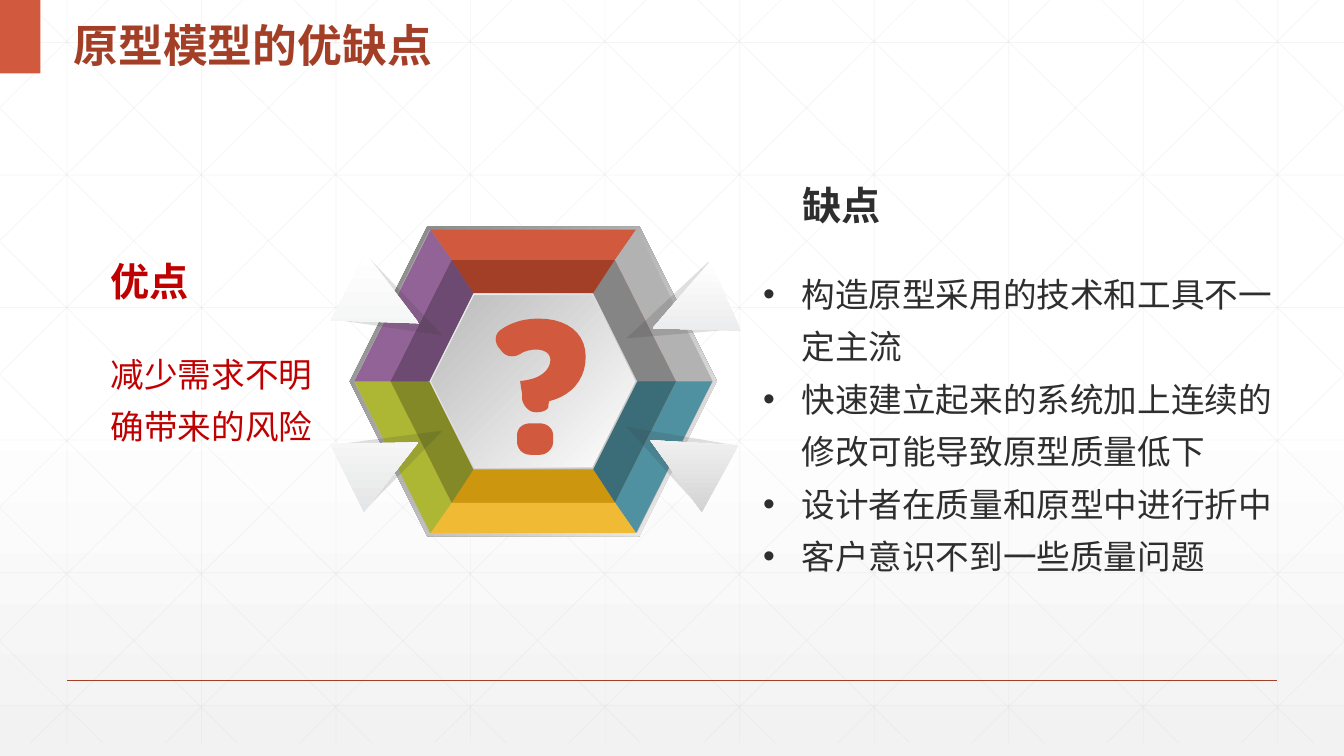
from dataclasses import dataclass
from typing import Optional

from lxml.etree import SubElement
from pptx import Presentation
from pptx.dml.color import RGBColor
from pptx.dml.fill import FillFormat
from pptx.enum.shapes import MSO_CONNECTOR, MSO_SHAPE
from pptx.enum.text import MSO_ANCHOR, MSO_AUTO_SIZE, PP_ALIGN
from pptx.oxml.ns import qn
from pptx.shapes.autoshape import Shape
from pptx.slide import Slide
from pptx.text.text import TextFrame
from pptx.util import Cm, Pt

Point = tuple[float, float]

COLORS = {
    "white": "FFFFFF", "paper": "F2F2F2", "grid": "D9D9D9",
    "orange": "D15A3E", "rust": "A43F27", "silver": "B2B2B2", "gray": "858585",
    "teal": "4F91A1", "deep_teal": "3B6D79", "yellow": "F0BA34", "ochre": "CC960F",
    "lime": "AEB733", "olive": "828926", "violet": "926397", "plum": "6D4A71",
    "rim": "808080", "bevel": "BFBFBF", "core": "BABABA", "shade": "373937",
    "red": "C00000", "text": "2D2E2D",
}
LATIN, CHINESE = "Arial", "Noto Sans CJK SC"
WIDTH, HEIGHT = 33.87, 19.05
GRID_BOTTOM, GRID_STEP, ROW_STEP = 18.72, 3.39, 3.34
CENTER_X, CENTER_Y = 13.44, 9.61


@dataclass
class Hexagon:
    width: float
    height: float
    colors: tuple[str, ...]
    angle: int = 0


@dataclass
class Ring:
    half_width: float
    half_top: float
    half_height: float

    def corners(self) -> list[Point]:
        """Corners clockwise from the top left."""
        w, t, h = self.half_width, self.half_top, self.half_height
        offsets = [(-t, -h), (t, -h), (w, 0), (t, h), (-t, h), (-w, 0)]
        return [(CENTER_X + x, CENTER_Y + y) for x, y in offsets]


@dataclass
class Flap:
    rotation: float
    shadow: Point
    paper: Point
    end_color: str


@dataclass
class TextStyle:
    size: int
    color: str
    font: str = LATIN
    bold: bool = False
    line_spacing: Optional[float] = None
    bullet: bool = False


HEXAGONS = [
    Hexagon(9.25, 7.8, ("rim", "paper"), 45),
    Hexagon(9.04, 7.62, ("silver",)),
    Hexagon(7.24, 6.1, ("orange",)),
    Hexagon(5.28, 4.45, ("bevel", "paper"), 225),
    Hexagon(5.13, 4.32, ("white", "core"), 225),
]
INNER, MIDDLE, OUTER = Ring(2.62, 1.51, 2.22), Ring(3.6, 2.06, 3.06), Ring(4.51, 2.59, 3.82)
INNER_COLORS = ["rust", "gray", "deep_teal", "ochre", "olive", "plum"]
OUTER_COLORS = ["orange", "silver", "teal", "yellow", "lime", "violet"]
FLAPS = [
    Flap(298.8, (16.03, 10.06), (16.31, 10.57), "D3D3D4"),
    Flap(246.1, (16.08, 6.65), (16.41, 6.86), "E2E3E4"),
    Flap(63.5, (9.04, 10.11), (8.69, 10.59), "E4E5E6"),
    Flap(117.4, (9.04, 6.5), (8.71, 6.68), "F0F1F1"),
]
# Two numbers are a line to a point, six are a cubic curve.
QUESTION_DOT = [
    (13.36, 10.67), (13.61, 10.67), (13.79, 10.67, 13.94, 10.8, 13.94, 10.97),
    (13.94, 11.13), (13.94, 11.3, 13.79, 11.46, 13.61, 11.46),
    (13.36, 11.46), (13.16, 11.46, 13.03, 11.3, 13.03, 11.13),
    (13.03, 10.97), (13.03, 10.8, 13.16, 10.67, 13.36, 10.67),
]
QUESTION_HOOK = [
    (13.59, 8.03), (14.27, 8.03, 14.76, 8.38, 14.76, 8.99),
    (14.76, 9.58, 14.38, 9.98, 13.84, 10.11), (13.84, 10.11, 13.82, 10.16, 13.82, 10.26),
    (13.79, 10.34, 13.67, 10.39, 13.51, 10.39), (13.34, 10.39, 13.21, 10.26, 13.16, 10.08),
    (13.16, 9.93), (13.13, 9.78, 13.11, 9.63, 13.11, 9.6), (13.13, 9.6),
    (13.69, 9.55, 13.87, 9.27, 13.87, 9.07), (13.87, 8.92, 13.74, 8.81, 13.51, 8.81),
    (13.39, 8.81, 13.23, 8.84, 13.11, 8.92), (12.95, 9.02, 12.75, 8.99, 12.65, 8.86),
    (12.57, 8.76), (12.45, 8.61, 12.47, 8.41, 12.62, 8.31),
    (12.88, 8.13, 13.18, 8.03, 13.59, 8.03),
]
DRAWBACKS = [
    "构造原型采用的技术和工具不一定主流",
    "快速建立起来的系统加上连续的修改可能导致原型质量低下",
    "设计者在质量和原型中进行折中",
    "客户意识不到一些质量问题",
]


def rgb(color: str) -> RGBColor:
    return RGBColor.from_string(COLORS.get(color, color))


def set_gradient(fill: FillFormat, colors: tuple[str, ...], angle: int, start: float = 0) -> None:
    """The angle runs clockwise, in degrees."""
    fill.gradient()
    fill.gradient_angle = 360 - angle
    for stop, color, position in zip(fill.gradient_stops, colors, (start, 1)):
        stop.color.rgb, stop.position = rgb(color), position


def set_alpha(element, percent: int) -> None:
    color = next(element.iter(qn("a:srgbClr")))
    SubElement(color, qn("a:alpha")).set("val", str(percent * 1000))


def finish_shape(shape: Shape, colors: tuple[str, ...], angle: int = 0) -> Shape:
    shape.shadow.inherit = False
    shape.line.fill.background()
    if len(colors) > 1:
        set_gradient(shape.fill, colors, angle)
    else:
        shape.fill.solid()
        shape.fill.fore_color.rgb = rgb(colors[0])
    return shape


def add_preset(slide: Slide, kind: MSO_SHAPE, corner: Point, size: Point,
               colors: tuple[str, ...], angle: int = 0) -> Shape:
    shape = slide.shapes.add_shape(kind, *(Cm(value) for value in (*corner, *size)))
    return finish_shape(shape, colors, angle)


def add_outline(slide: Slide, contours: list[list[Point]], color: str) -> None:
    contours_cm = [[(Cm(x), Cm(y)) for x, y in contour] for contour in contours]
    builder = slide.shapes.build_freeform(*contours_cm[0][0])
    for index, (first, *rest) in enumerate(contours_cm):
        if index:
            builder.move_to(*first)
        builder.add_line_segments(rest, close=True)
    finish_shape(builder.convert_to_shape(), (color,))


def flatten(steps: list[tuple[float, ...]]) -> list[Point]:
    """Turn lines and cubic curves into a run of points."""
    points: list[Point] = []
    for step in steps:
        if len(step) == 2:
            points.append(step)
            continue
        controls = [points[-1], step[:2], step[2:4], step[4:]]
        for t in (n / 10 for n in range(1, 11)):
            weights = ((1 - t) ** 3, 3 * t * (1 - t) ** 2, 3 * t * t * (1 - t), t ** 3)
            points.append(tuple(sum(w * p[axis] for w, p in zip(weights, controls))
                                for axis in (0, 1)))
    return points


def add_line(slide: Slide, start: Point, end: Point, color: str = "grid",
             width: float = 0.5, alpha: int = 25) -> None:
    line = slide.shapes.add_connector(MSO_CONNECTOR.STRAIGHT, *(Cm(v) for v in (*start, *end)))
    line.line.width = Pt(width)
    line.line.color.rgb = rgb(color)
    if alpha < 100:
        set_alpha(line._element.spPr, alpha)
    SubElement(line._element.spPr, qn("a:effectLst"))


def add_grid(slide: Slide) -> None:
    for column in range(10):
        x = 1.69 + GRID_STEP * column
        add_line(slide, (x, 0), (x, GRID_BOTTOM))
    for row in range(6):
        y = 1.07 + ROW_STEP * row
        add_line(slide, (0, y), (WIDTH, y))
    slope = 1.01
    for column in range(-5, 10):
        x = 0.63 + GRID_STEP * column
        top = max(0, -x / slope)
        bottom = min(GRID_BOTTOM, (WIDTH - x) / slope)
        left, right = x + slope * top, x + slope * bottom
        add_line(slide, (left, top), (right, bottom))
        add_line(slide, (WIDTH - left, top), (WIDTH - right, bottom))


def add_hexagon_figure(slide: Slide) -> None:
    for item in HEXAGONS:
        corner = (CENTER_X - item.width / 2, CENTER_Y - item.height / 2)
        add_preset(slide, MSO_SHAPE.HEXAGON, corner, (item.width, item.height),
                   item.colors, item.angle)
    for near, far, colors in ((INNER, MIDDLE, INNER_COLORS), (MIDDLE, OUTER, OUTER_COLORS)):
        a, b = near.corners(), far.corners()
        for side, color in enumerate(colors):
            following = (side + 1) % 6
            add_outline(slide, [[a[side], a[following], b[following], b[side]]], color)
    for flap in FLAPS:
        shadow = add_preset(slide, MSO_SHAPE.ISOSCELES_TRIANGLE, flap.shadow, (1.85, 2.67), ("shade",))
        set_alpha(shadow._element.spPr, 16)
        paper = add_preset(slide, MSO_SHAPE.ISOSCELES_TRIANGLE, flap.paper, (1.91, 2.01),
                           ("white", flap.end_color), 90)
        paper._element.spPr.find(qn("a:gradFill")).set("rotWithShape", "0")
        shadow.rotation = paper.rotation = flap.rotation
    add_outline(slide, [flatten(QUESTION_DOT), flatten(QUESTION_HOOK)], "orange")


def write_text(frame: TextFrame, lines: list[str], style: TextStyle,
               anchor: MSO_ANCHOR = MSO_ANCHOR.TOP, margin: Point = (0, 0)) -> None:
    frame.word_wrap, frame.auto_size, frame.vertical_anchor = True, MSO_AUTO_SIZE.NONE, anchor
    frame.margin_left = frame.margin_right = Cm(margin[0])
    frame.margin_top = frame.margin_bottom = Cm(margin[1])
    for index, line in enumerate(lines):
        paragraph = frame.add_paragraph() if index else frame.paragraphs[0]
        if style.bullet:
            properties = paragraph._p.get_or_add_pPr()
            properties.set("marL", str(Cm(0.97)))
            properties.set("indent", str(-Cm(0.97)))
            SubElement(properties, qn("a:buFont")).set("typeface", LATIN)
            SubElement(properties, qn("a:buChar")).set("char", "•")
        paragraph.alignment = PP_ALIGN.LEFT
        paragraph.space_before = Pt(0)
        paragraph.line_spacing = style.line_spacing
        run = paragraph.add_run()
        run.text = line
        run.font.name, run.font.size, run.font.bold = style.font, Pt(style.size), style.bold
        run.font.color.rgb = rgb(style.color)
        SubElement(run._r.get_or_add_rPr(), qn("a:ea")).set("typeface", CHINESE)


def place(shape: Shape, left: float, top: float, width: float, height: float) -> TextFrame:
    shape.left, shape.top, shape.width, shape.height = Cm(left), Cm(top), Cm(width), Cm(height)
    return shape.text_frame


def add_text(slide: Slide, box: tuple[float, ...], text: str, style: TextStyle,
             anchor: MSO_ANCHOR = MSO_ANCHOR.TOP) -> None:
    shape = slide.shapes.add_textbox(*(Cm(value) for value in box))
    write_text(shape.text_frame, [text], style, anchor)


def main() -> None:
    presentation = Presentation()
    presentation.slide_width, presentation.slide_height = Cm(WIDTH), Cm(HEIGHT)
    slide = presentation.slides.add_slide(presentation.slide_layouts[1])
    set_gradient(slide.background.fill, ("white", "paper"), 90, start=0.53)
    add_grid(slide)
    add_line(slide, (1.69, 17.15), (32.18, 17.15), "rust", 1, 100)
    add_preset(slide, MSO_SHAPE.RECTANGLE, (0, 0), (1.02, 1.85), ("orange",))
    add_hexagon_figure(slide)

    title, body = slide.shapes.title, slide.placeholders[1]
    for placeholder in (title, body):
        slide.shapes._spTree.append(placeholder._element)
    write_text(place(title, 1.6, 0, 14.45, 1.85), ["原型模型的优缺点"],
               TextStyle(32, "rust", bold=True, line_spacing=1.3), MSO_ANCHOR.MIDDLE, (0.25, 0.13))
    write_text(place(body, 19.23, 6.6, 12.9, 8.86), DRAWBACKS,
               TextStyle(24, "text", CHINESE, line_spacing=1.3, bullet=True))
    add_text(slide, (2.79, 5.74, 5.31, 2.69), "优点",
             TextStyle(28, "red", bold=True), MSO_ANCHOR.MIDDLE)
    add_text(slide, (2.79, 8.61, 5.31, 3.56), "减少需求不明确带来的风险",
             TextStyle(24, "red", CHINESE, line_spacing=1.3))
    add_text(slide, (20.22, 3.91, 5.31, 2.29), "缺点",
             TextStyle(28, "text", bold=True, line_spacing=1.2), MSO_ANCHOR.MIDDLE)
    presentation.save("out.pptx")


if __name__ == "__main__":
    main()
